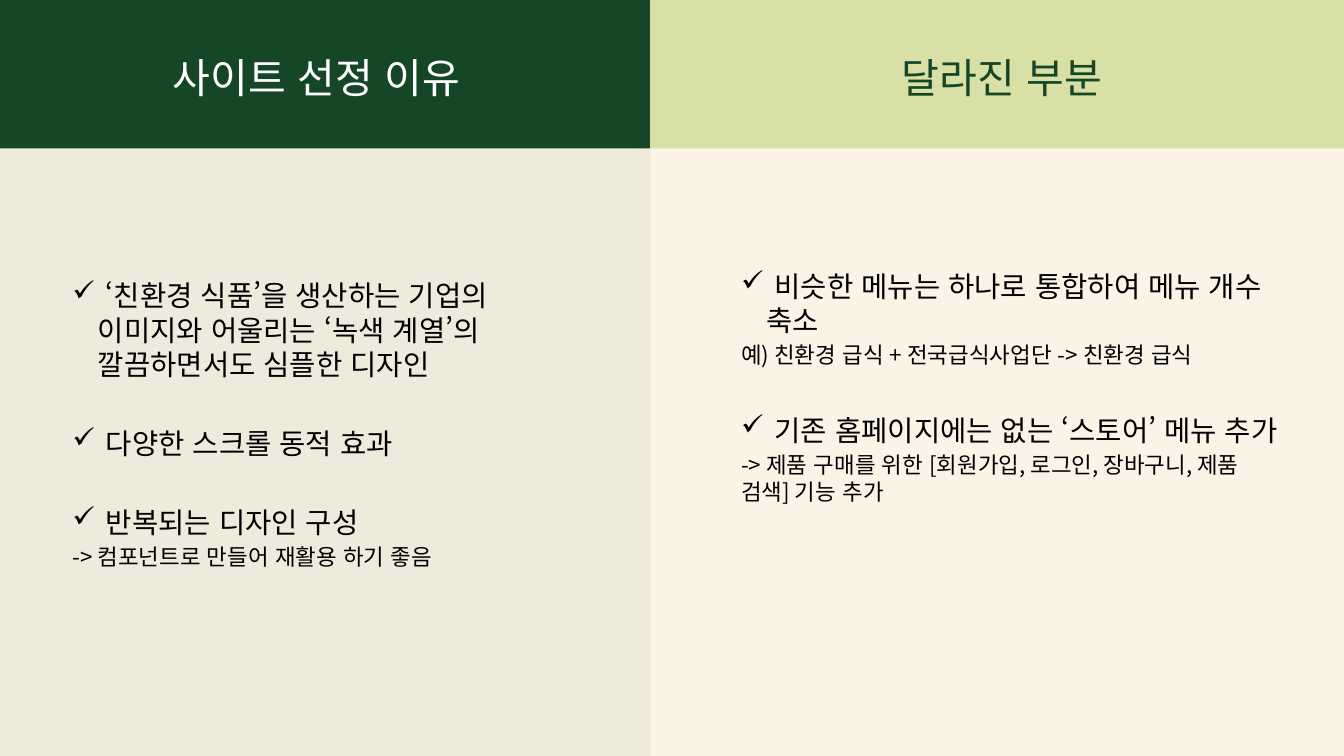
from pptx import Presentation
from pptx.dml.color import RGBColor
from pptx.enum.lang import MSO_LANGUAGE_ID as Language
from pptx.enum.shapes import MSO_SHAPE as Shape
from pptx.enum.text import MSO_ANCHOR as Anchor, PP_ALIGN as Align
from pptx.oxml.ns import qn
from pptx.util import Inches, Pt
from lxml.etree import SubElement

FONT = "Noto Sans CJK KR"
BULLET_FONT = "OpenSymbol"
DARK_GREEN, LIGHT_GREEN = "154726", "D8E0A5"
BEIGE, CREAM = "EEEBDC", "FAF3E6"
WHITE, BLACK = "FFFFFF", "000000"

# Each entry: kind of line, text
REASONS = [
    ("check", " ‘친환경 식품’을 생산하는 기업의 이미지와 어울리는 ‘녹색 계열’의 깔끔하면서도 심플한 디자인"),
    ("check", " 다양한 스크롤 동적 효과"),
    ("check", " 반복되는 디자인 구성"),
    ("detail", "-> 컴포넌트로 만들어 재활용 하기 좋음"),
]
CHANGES = [
    ("check", " 비슷한 메뉴는 하나로 통합하여 메뉴 개수 축소"),
    ("detail", "예) 친환경 급식 + 전국급식사업단 -> 친환경 급식"),
    ("check", " 기존 홈페이지에는 없는 ‘스토어’ 메뉴 추가"),
    ("detail", "-> 제품 구매를 위한 [회원가입, 로그인, 장바구니, 제품 검색] 기능 추가"),
]


def color(value):
    return RGBColor.from_string(value)


def add_panel(slide, left, top, width, height, fill):
    shape = slide.shapes.add_shape(
        Shape.RECTANGLE, Inches(left), Inches(top), Inches(width), Inches(height))
    shape.shadow.inherit = False
    shape.fill.solid()
    shape.fill.fore_color.rgb = color(fill)
    shape.line.fill.background()


def add_text_frame(slide, left, top, width, height):
    box = slide.shapes.add_textbox(
        Inches(left), Inches(top), Inches(width), Inches(height))
    box.text_frame.word_wrap = True
    return box.text_frame


def style(paragraph, size, font_color):
    font = paragraph.font
    font.name, font.size = FONT, Pt(size)
    font.color.rgb = color(font_color)
    # Hangul takes the East Asian typeface
    properties = paragraph._p.pPr.find(qn("a:defRPr"))
    SubElement(properties, qn("a:ea"), typeface=FONT)
    # Korean glyph forms give narrow quotation marks
    for run in paragraph.runs:
        run.font.language_id = Language.KOREAN


def add_check_mark(paragraph):
    properties = paragraph._p.get_or_add_pPr()
    properties.set("marL", str(Inches(0.38)))
    properties.set("indent", str(Inches(-0.38)))
    SubElement(properties, qn("a:buFont"), typeface=BULLET_FONT)
    SubElement(properties, qn("a:buChar"), char="✓")


def add_heading(slide, left, text, font_color):
    frame = add_text_frame(slide, left, 0.52, 9, 1.25)
    frame.vertical_anchor = Anchor.MIDDLE
    paragraph = frame.paragraphs[0]
    paragraph.text = text
    paragraph.alignment = Align.CENTER
    style(paragraph, 44, font_color)


def add_points(slide, left, top, width, height, points):
    frame = add_text_frame(slide, left, top, width, height)
    frame.margin_top = Inches(0.62)
    for index, (kind, text) in enumerate(points):
        paragraph = frame.add_paragraph() if index else frame.paragraphs[0]
        paragraph.text = text
        is_check = kind == "check"
        if index:
            paragraph.space_before = Pt(48 if is_check else 4)
        if is_check:
            add_check_mark(paragraph)
        style(paragraph, 30.6 if is_check else 24, BLACK)


def main():
    presentation = Presentation()
    presentation.slide_width = Inches(20)
    presentation.slide_height = Inches(11.25)
    slide = presentation.slides.add_slide(presentation.slide_layouts[6])

    # Column backgrounds and header bands
    add_panel(slide, 0, 0, 9.82, 11.25, BEIGE)
    add_panel(slide, 9.68, 0, 10.32, 11.25, CREAM)
    add_panel(slide, 9.5, 0, 10.5, 2.21, LIGHT_GREEN)
    add_panel(slide, 0, 0, 9.67, 2.21, DARK_GREEN)

    # Left column: why the site was chosen
    add_heading(slide, 0.21, "사이트 선정 이유", WHITE)
    add_points(slide, 0.98, 3.52, 7.7, 5.8, REASONS)

    # Right column: what changed
    add_heading(slide, 10.41, "달라진 부분", DARK_GREEN)
    add_points(slide, 10.93, 3.38, 8.29, 6.1, CHANGES)

    presentation.save("out.pptx")


if __name__ == "__main__":
    main()
